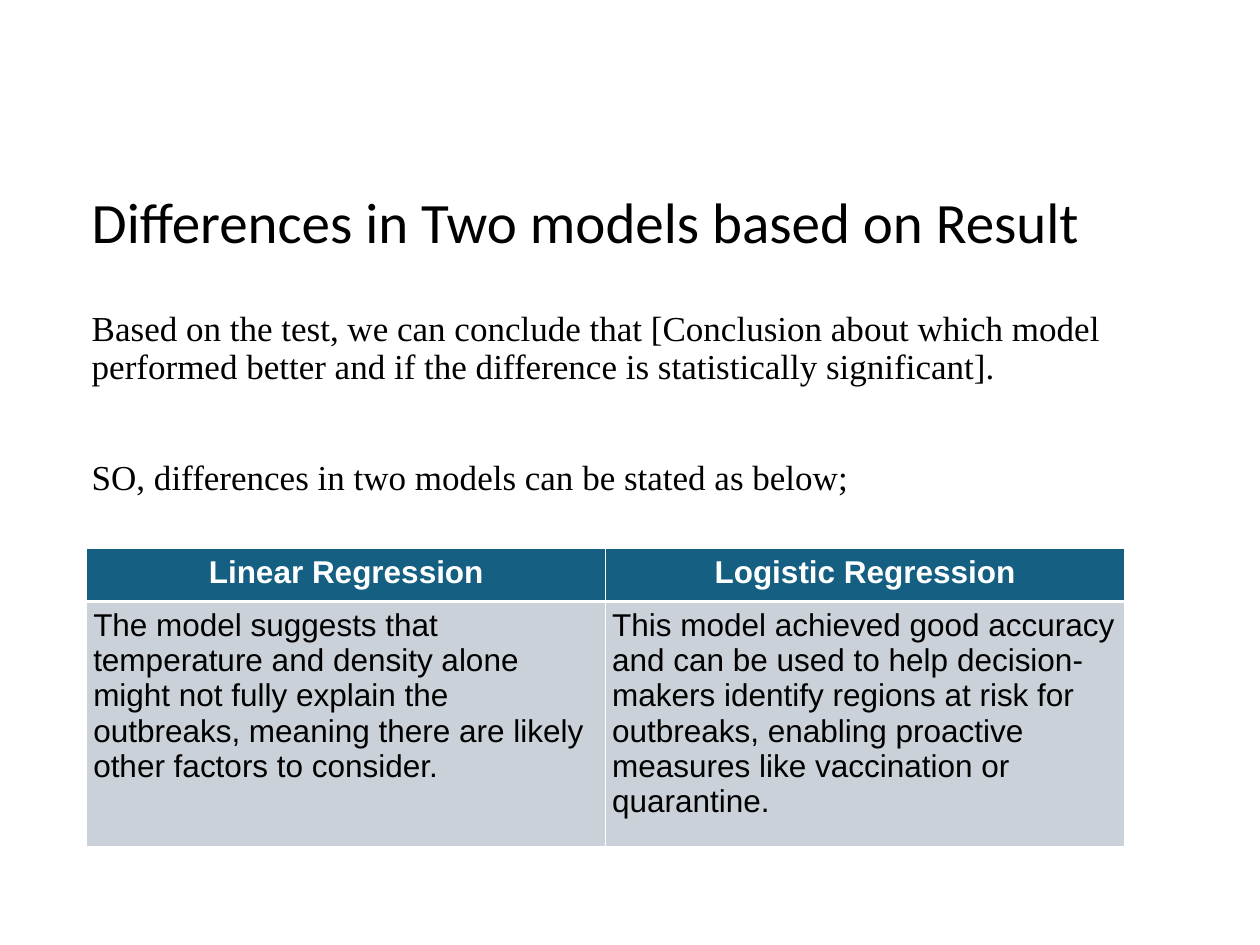
from lxml.etree import SubElement
from pptx import Presentation
from pptx.dml.color import RGBColor
from pptx.enum.text import MSO_ANCHOR as Anchor, PP_ALIGN as Align
from pptx.oxml.ns import qn
from pptx.util import Cm, Pt

LEFT = 1.75
BLACK, WHITE, TEAL, GREY = "000000", "FFFFFF", "156082", "CAD1D8"

TITLE = "Differences in Two models based on Result"
CONCLUSION = [
    "Based on the test, we can conclude that [Conclusion about which model "
    "performed better and if the difference is statistically significant].",
    "SO, differences in two models can be stated as below;",
]
MODELS = {
    "Linear Regression":
        "The model suggests that temperature and density alone might not fully "
        "explain the outbreaks, meaning there are likely other factors to consider.",
    "Logistic Regression":
        "This model achieved good accuracy and can be used to help decision-makers "
        "identify regions at risk for outbreaks, enabling proactive measures like "
        "vaccination or quarantine.",
}

TITLE_FONT = {"name": "Calibri", "size": Pt(32.6)}
BODY_FONT = {"name": "Times New Roman", "size": Pt(20)}
HEADER_FONT = {"name": "Arial", "size": Pt(18), "bold": True}
CELL_FONT = {"name": "Arial", "size": Pt(18), "bold": False}


def color(hex_value):
    return RGBColor.from_string(hex_value)


def set_all(target, values):
    for attribute, value in values.items():
        setattr(target, attribute, value)


def margins(size):
    sides = ("left", "top", "right", "bottom")
    return {f"margin_{side}": Cm(size) for side in sides}


def add_text(slide, top, height, texts, font, anchor, gap=0):
    box = slide.shapes.add_textbox(Cm(LEFT), Cm(top), Cm(21.9), Cm(height))
    frame = box.text_frame
    set_all(frame, {"word_wrap": True, "vertical_anchor": anchor, **margins(0.1)})
    for index, text in enumerate(texts):
        paragraph = frame.add_paragraph() if index else frame.paragraphs[0]
        paragraph.text = text
        paragraph.line_spacing = 0.9
        if index:
            paragraph.space_before = Pt(gap)
        set_all(paragraph.font, font)
        paragraph.font.color.rgb = color(BLACK)


def add_border(cell, side, width):
    line = SubElement(cell._tc.get_or_add_tcPr(), qn(f"a:ln{side}"), w=str(Pt(width)))
    SubElement(SubElement(line, qn("a:solidFill")), qn("a:srgbClr"), val=WHITE)


def fill_cell(cell, text, font, text_color, fill, align, heavy_side):
    set_all(cell, margins(0.13))
    for side in "LRTB":
        add_border(cell, side, 2 if side == heavy_side else 0.75)
    cell.fill.solid()
    cell.fill.fore_color.rgb = color(fill)
    paragraph = cell.text_frame.paragraphs[0]
    paragraph.text = text
    paragraph.alignment = align
    set_all(paragraph.font, font)
    paragraph.font.color.rgb = color(text_color)


def add_comparison(slide, models):
    row_heights = (1.07, 4.95)
    column_width = 10.46
    table = slide.shapes.add_table(
        2, len(models), Cm(LEFT), Cm(11.05),
        Cm(column_width * len(models)), Cm(sum(row_heights))).table
    for row, height in zip(table.rows, row_heights):
        row.height = Cm(height)
    for index, (model, finding) in enumerate(models.items()):
        table.columns[index].width = Cm(column_width)
        fill_cell(table.cell(0, index), model, HEADER_FONT, WHITE, TEAL, Align.CENTER, "B")
        fill_cell(table.cell(1, index), finding, CELL_FONT, BLACK, GREY, Align.LEFT, "T")


def main():
    deck = Presentation()
    deck.slide_width, deck.slide_height = Cm(25.4), Cm(19.05)
    slide = deck.slides.add_slide(deck.slide_layouts[6])

    # Title and conclusion
    add_text(slide, 3.15, 2.77, [TITLE], TITLE_FONT, Anchor.MIDDLE)
    add_text(slide, 6.17, 9.07, CONCLUSION, BODY_FONT, Anchor.TOP, gap=42)

    # Model comparison
    add_comparison(slide, MODELS)

    deck.save("out.pptx")


if __name__ == "__main__":
    main()
